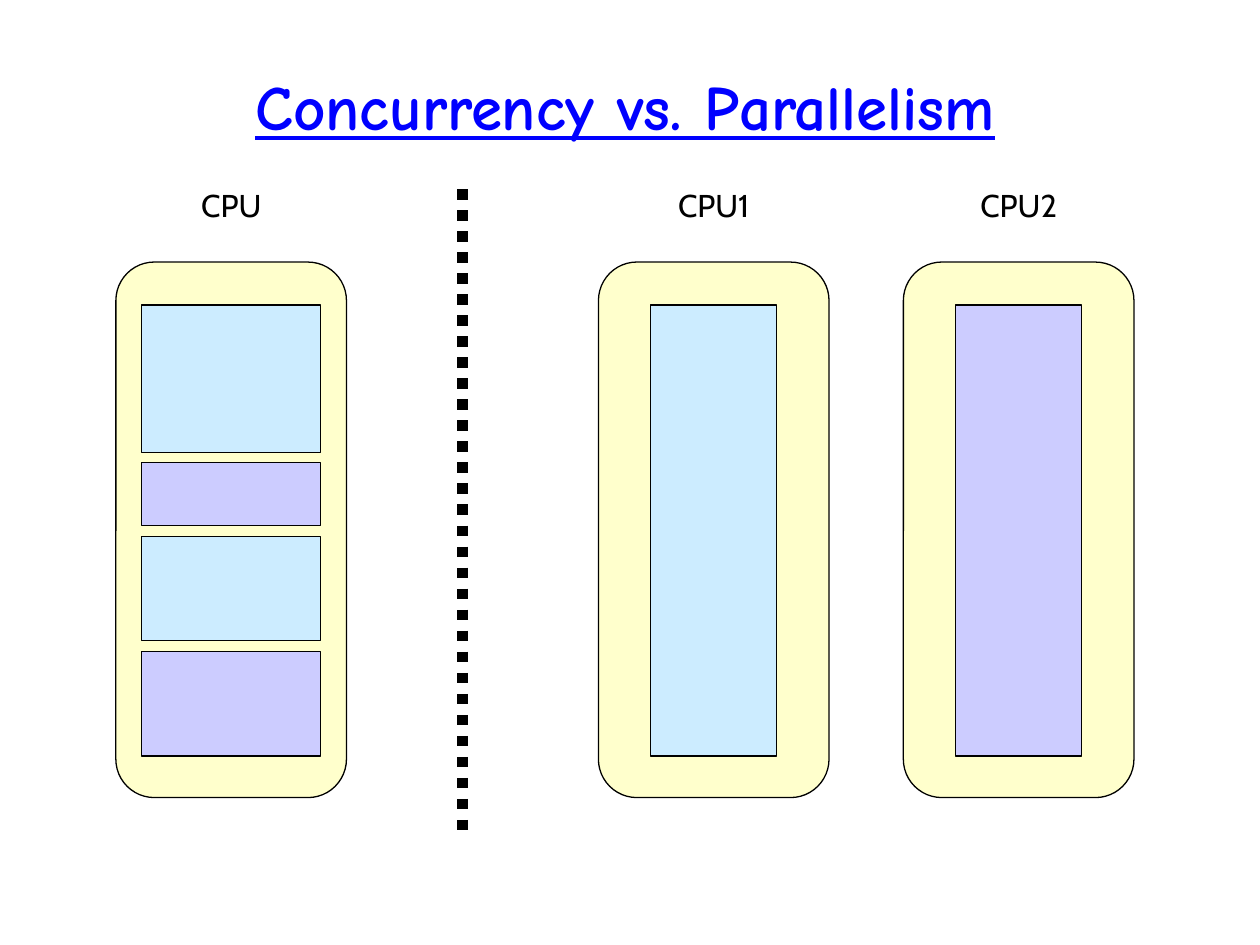
from pptx import Presentation
from pptx.dml.color import RGBColor
from pptx.enum.dml import MSO_LINE
from pptx.enum.shapes import MSO_CONNECTOR, MSO_SHAPE
from pptx.enum.text import MSO_ANCHOR, PP_ALIGN
from pptx.oxml.ns import qn
from pptx.util import Inches, Pt
from lxml import etree

RECTANGLE = MSO_SHAPE.RECTANGLE
ROUNDED = MSO_SHAPE.ROUNDED_RECTANGLE
STRAIGHT = MSO_CONNECTOR.STRAIGHT
DOTTED = MSO_LINE.ROUND_DOT  # written as sysDot
CENTER = PP_ALIGN.CENTER
MIDDLE = MSO_ANCHOR.MIDDLE
TOP = MSO_ANCHOR.TOP

BLACK, BLUE = "000000", "0000FF"
CPU_FILL, TASK_A, TASK_B = "FFFFCC", "CCECFF", "CCCCFF"

CPU_TOP, CPU_WIDTH, CPU_HEIGHT = 2.08, 1.83, 4.25
TASK_TOP, TASK_HEIGHT = 2.42, 3.58


def color(value):
    return RGBColor.from_string(value)


class Slide:
    title_font = "Comic Neue"
    label_font = "Cabin"

    def __init__(self, deck):
        self.page = deck.slides.add_slide(deck.slide_layouts[6])

    def text(self, words, left, top, width, height, font, size, ink=BLACK,
             anchor=TOP, heading=False):
        box = self.page.shapes.add_textbox(
            Inches(left), Inches(top), Inches(width), Inches(height))
        frame = box.text_frame
        frame.word_wrap = heading
        frame.vertical_anchor = anchor
        para = frame.paragraphs[0]
        para.alignment = CENTER
        if heading:
            para.line_spacing = 0.85
        span = para.add_run()
        span.text = words
        span.font.name = font
        span.font.size = Pt(size)
        span.font.color.rgb = color(ink)
        if heading:
            span.font.bold = True
            span.font.underline = True

    def block(self, kind, left, top, width, height, fill):
        shape = self.page.shapes.add_shape(
            kind, Inches(left), Inches(top), Inches(width), Inches(height))
        shape.shadow.inherit = False
        shape.fill.solid()
        shape.fill.fore_color.rgb = color(fill)
        shape.line.color.rgb = color(BLACK)
        shape.line.width = Pt(0.75)

    def divider(self, x, top, bottom):
        line = self.page.shapes.add_connector(
            STRAIGHT, Inches(x), Inches(top), Inches(x), Inches(bottom))
        line.line.color.rgb = color(BLACK)
        line.line.width = Pt(6)
        line.line.dash_style = DOTTED
        etree.SubElement(line._element.spPr, qn("a:effectLst"))

    def cpu(self, name, left, label_width, task_width, tasks):
        """Draw a labelled processor with (height, fill) tasks spread evenly down it."""
        center = left + CPU_WIDTH / 2
        self.block(ROUNDED, left, CPU_TOP, CPU_WIDTH, CPU_HEIGHT, CPU_FILL)
        free = TASK_HEIGHT - sum(height for height, _ in tasks)
        gap = free / max(len(tasks) - 1, 1)
        top = TASK_TOP
        for height, fill in tasks:
            self.block(RECTANGLE, center - task_width / 2, top, task_width, height, fill)
            top += height + gap
        self.text(name, center - label_width / 2, 1.43, label_width, 0.4,
                  self.label_font, 18)


def main():
    deck = Presentation()
    deck.slide_width, deck.slide_height = Inches(10), Inches(7.5)
    slide = Slide(deck)
    slide.text("Concurrency vs. Parallelism", 1, 0.42, 7.92, 0.92,
               slide.title_font, 36, BLUE, MIDDLE, heading=True)
    shared = [(1.17, TASK_A), (0.5, TASK_B), (0.83, TASK_A), (0.83, TASK_B)]
    slide.cpu("CPU", 0.92, 0.69, 1.42, shared)
    slide.cpu("CPU1", 4.75, 0.83, 1, [(TASK_HEIGHT, TASK_A)])
    slide.cpu("CPU2", 7.17, 0.83, 1, [(TASK_HEIGHT, TASK_B)])
    slide.divider(3.67, 1.5, 6.67)
    deck.save("out.pptx")


if __name__ == "__main__":
    main()
